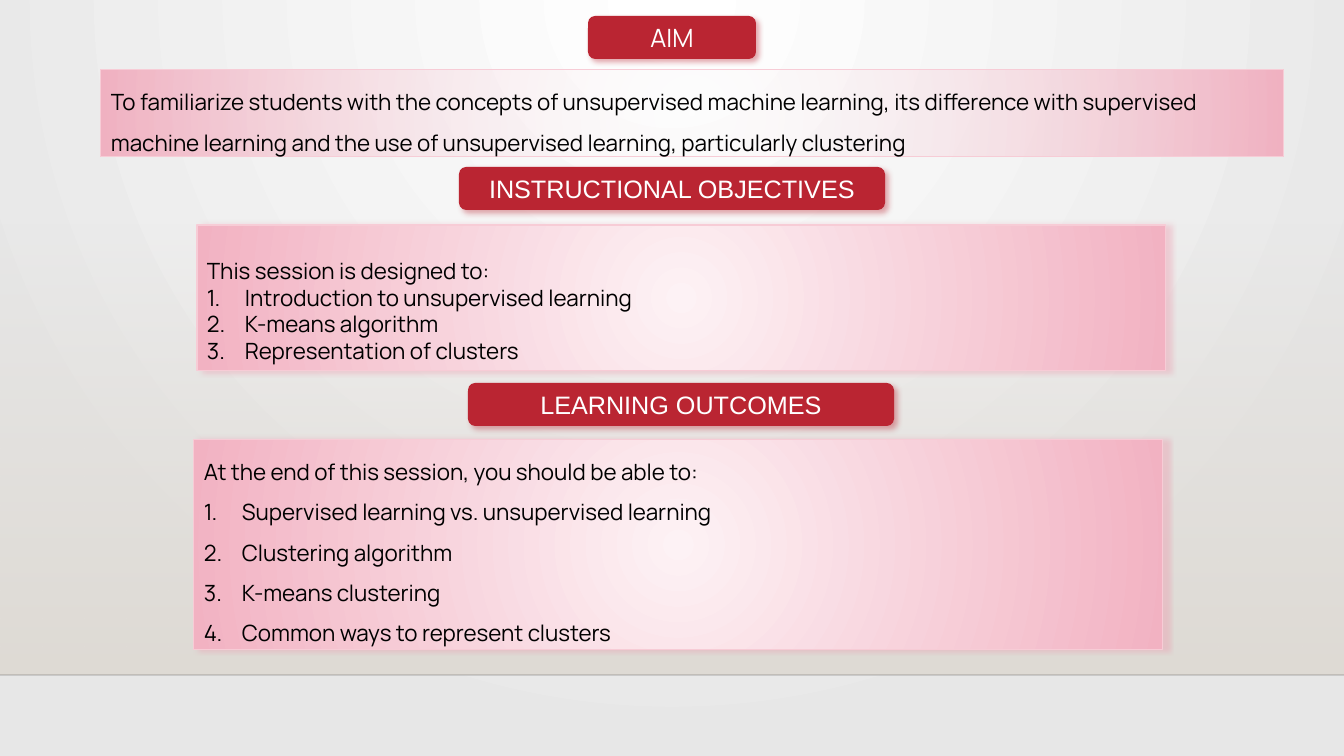
from lxml import etree
from pptx import Presentation
from pptx.dml.color import RGBColor
from pptx.enum.shapes import MSO_CONNECTOR, MSO_SHAPE
from pptx.enum.text import MSO_ANCHOR, MSO_AUTO_SIZE, PP_ALIGN
from pptx.oxml.ns import qn
from pptx.util import Pt

PX = 12192000 / 1344
SLIDE_WIDTH, SLIDE_HEIGHT = 1344, 756
FLOOR_TOP, FLOOR_LINE = 223, 675
LIST_INDENT = 38

RECTANGLE = MSO_SHAPE.RECTANGLE
ROUNDED = MSO_SHAPE.ROUNDED_RECTANGLE
STRAIGHT = MSO_CONNECTOR.STRAIGHT
TOP, MIDDLE = MSO_ANCHOR.TOP, MSO_ANCHOR.MIDDLE
CENTER, LEFT = PP_ALIGN.CENTER, PP_ALIGN.LEFT
GROW = MSO_AUTO_SIZE.SHAPE_TO_FIT_TEXT

WHITE = RGBColor(0xFF, 0xFF, 0xFF)
BLACK = RGBColor(0x00, 0x00, 0x00)
NEAR_BLACK = RGBColor(0x00, 0x00, 0x01)
PALE_GRAY = RGBColor(0xE7, 0xE7, 0xE7)
SAND = RGBColor(0xDF, 0xDB, 0xD5)
RED = RGBColor(0xBA, 0x25, 0x32)
BLUSH = RGBColor(0xFD, 0xF2, 0xF5)
PINK = RGBColor(0xF2, 0xB2, 0xC2)
PINK_BORDER = RGBColor(0xF7, 0xCC, 0xD6)
PINK_SHADOW = RGBColor(0xEE, 0x99, 0xAD)

BODY_FONT = "Manrope"
HEADINGS = [
    ("AIM", BODY_FONT, (588, 16, 168, 43)),
    ("INSTRUCTIONAL OBJECTIVES", "Arial", (459, 167, 426, 43)),
    ("LEARNING OUTCOMES", "Arial", (468, 383, 426, 43)),
]
AIM = (
    "To familiarize students with the concepts of unsupervised machine learning, "
    "its difference with supervised machine learning and the use of unsupervised "
    "learning, particularly clustering"
)
OBJECTIVES = ["Introduction to unsupervised learning", "K-means algorithm", "Representation of clusters"]
OUTCOMES = [
    "Supervised learning vs. unsupervised learning",
    "Clustering algorithm",
    "K-means clustering",
    "Common ways to represent clusters",
]


def emu(*lengths):
    """Turn pixel lengths into EMU."""
    return [round(length * PX) for length in lengths]


def add_element(parent, tag, **attributes):
    """Append a drawing element with the given attributes."""
    values = {name: str(value) for name, value in attributes.items()}
    return etree.SubElement(parent, qn(tag), values)


def add_color(parent, color, opacity=100):
    """Append a colour with an opacity in percent."""
    element = add_element(parent, "a:srgbClr", val=color)
    if opacity < 100:
        add_element(element, "a:alpha", val=opacity * 1000)


def set_gradient(properties, start, end, center=None, opacity=100):
    """Swap a solid fill for a circular gradient, or a downward one without a center."""
    solid = properties.find(qn("a:solidFill"))
    gradient = etree.Element(qn("a:gradFill"), rotWithShape="1")
    stops = add_element(gradient, "a:gsLst")
    add_color(add_element(stops, "a:gs", pos=0), start, opacity)
    add_color(add_element(stops, "a:gs", pos=100000), end)
    if center:
        sides = {side: value * 1000 for side, value in zip("ltrb", center)}
        circle = add_element(gradient, "a:path", path="circle")
        add_element(circle, "a:fillToRect", **sides)
    else:
        add_element(gradient, "a:lin", ang=90 * 60000, scaled=0)
    properties.replace(solid, gradient)


def add_shadow(shape, color, angle):
    """Give a shape a soft outer shadow."""
    effects = shape._element.spPr.find(qn("a:effectLst"))
    shadow = add_element(effects, "a:outerShdw", blurRad=Pt(4), dist=Pt(3),
                         dir=angle * 60000, algn="tl", rotWithShape=0)
    add_color(shadow, color, 40)


def add_box(slide, kind, box, color):
    """Add a filled shape without border or shadow."""
    shape = slide.shapes.add_shape(kind, *emu(*box))
    shape.shadow.inherit = False
    shape.fill.solid()
    shape.fill.fore_color.rgb = color
    shape.line.fill.background()
    return shape


def write_paragraph(paragraph, text, font_name, size, color):
    """Set the text of a paragraph and format its runs."""
    paragraph.text = text
    for run in paragraph.runs:
        run.font.name = font_name
        run.font.size = Pt(size)
        run.font.color.rgb = color


def add_backdrop(slide):
    """Paint the wall, the floor and the line between them."""
    slide.background.fill.solid()
    set_gradient(slide.element.find(".//" + qn("p:bgPr")), WHITE, PALE_GRAY, (43, 0, 43, 100))
    wall = add_box(slide, RECTANGLE, (0, FLOOR_TOP, SLIDE_WIDTH, FLOOR_LINE - FLOOR_TOP), SAND)
    set_gradient(wall._element.spPr, SAND, SAND, opacity=0)
    edge = slide.shapes.add_connector(STRAIGHT, *emu(0, FLOOR_LINE, SLIDE_WIDTH, FLOOR_LINE))
    edge.line.width = Pt(1)
    edge.line.color.rgb = NEAR_BLACK
    color = edge._element.spPr.find(".//" + qn("a:srgbClr"))
    add_element(color, "a:alpha", val=20000)
    add_element(edge._element.spPr, "a:effectLst")


def add_heading(slide, text, font_name, box):
    """Add a red rounded heading."""
    shape = add_box(slide, ROUNDED, box, RED)
    add_shadow(shape, RED, 45)
    shape.text_frame.vertical_anchor = MIDDLE
    paragraph = shape.text_frame.paragraphs[0]
    paragraph.alignment = CENTER
    write_paragraph(paragraph, text, font_name, 18, WHITE)


def add_panel(slide, box, intro, items=(), intro_spacing=1.5, item_spacing=None, opacity=100):
    """Add a pink panel with an opening line and a numbered list."""
    shape = add_box(slide, RECTANGLE, box, PINK)
    set_gradient(shape._element.spPr, BLUSH, PINK, (50, 50, 50, 50), opacity)
    shape.line.color.rgb = PINK_BORDER
    shape.line.width = Pt(0.75)
    if items:
        add_shadow(shape, PINK_SHADOW, 0)
    frame = shape.text_frame
    frame.word_wrap = True
    frame.auto_size = GROW
    frame.vertical_anchor = TOP
    paragraph = frame.paragraphs[0]
    paragraph.alignment = LEFT
    paragraph.line_spacing = intro_spacing
    write_paragraph(paragraph, intro, BODY_FONT, 16, BLACK)
    indent = emu(LIST_INDENT)[0]
    for item in items:
        paragraph = frame.add_paragraph()
        paragraph.alignment = LEFT
        paragraph.line_spacing = item_spacing
        properties = paragraph._p.get_or_add_pPr()
        properties.set("marL", str(indent))
        properties.set("indent", str(-indent))
        add_element(properties, "a:buFont", typeface="+mj-lt")
        add_element(properties, "a:buAutoNum", type="arabicPeriod")
        write_paragraph(paragraph, item, BODY_FONT, 16, BLACK)


def main():
    """Build the session overview slide."""
    presentation = Presentation()
    presentation.slide_width, presentation.slide_height = emu(SLIDE_WIDTH, SLIDE_HEIGHT)
    slide = presentation.slides.add_slide(presentation.slide_layouts[6])
    add_backdrop(slide)
    for text, font_name, box in HEADINGS:
        add_heading(slide, text, font_name, box)
    add_panel(slide, (101, 70, 1183, 87), AIM, opacity=0)
    add_panel(slide, (197, 225, 969, 146), "This session is designed to:", OBJECTIVES, intro_spacing=2.0)
    add_panel(slide, (194, 440, 969, 210), "At the end of this session, you should be able to:",
              OUTCOMES, item_spacing=1.5)
    presentation.save("out.pptx")


if __name__ == "__main__":
    main()
